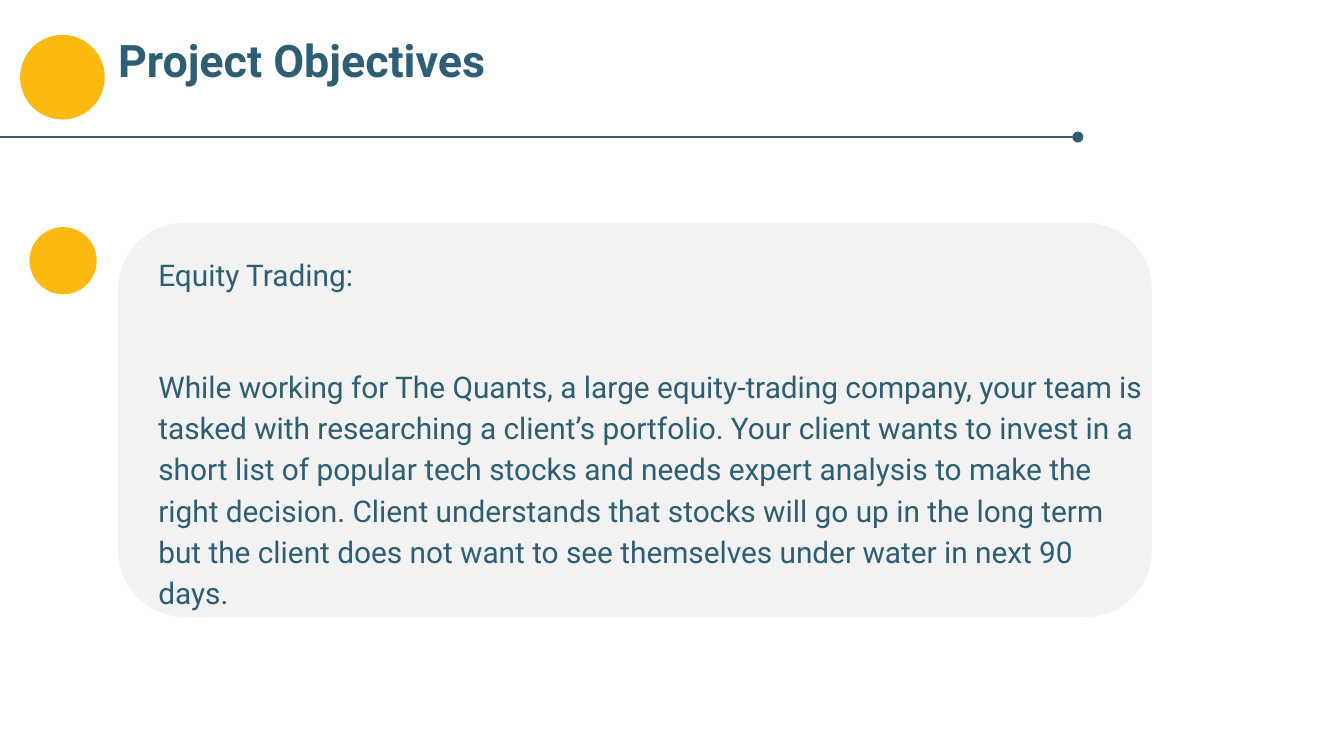
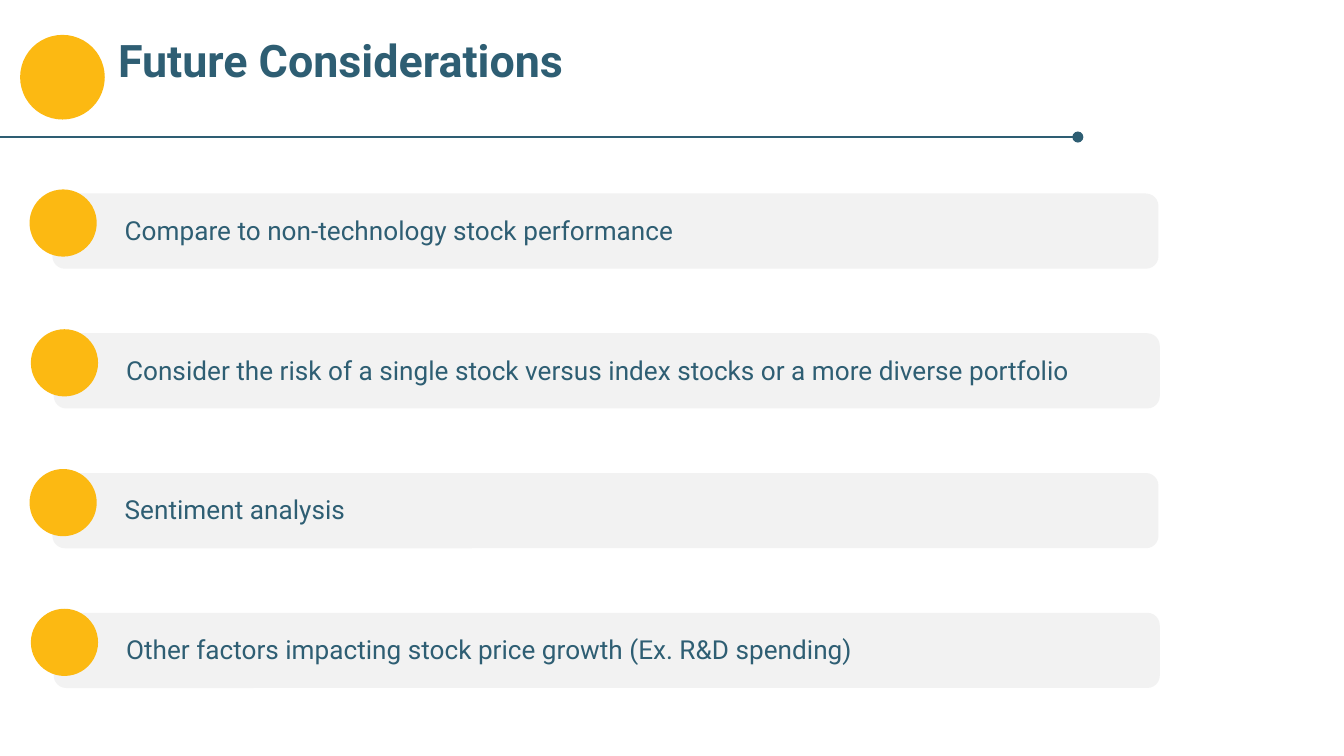
"""Build the project objectives and future considerations slides."""
from lxml import etree
from pptx import Presentation
from pptx.dml.color import RGBColor
from pptx.enum.shapes import MSO_CONNECTOR, MSO_SHAPE
from pptx.enum.text import MSO_ANCHOR, MSO_AUTO_SIZE
from pptx.oxml.ns import qn
from pptx.util import Inches, Pt

STRAIGHT = MSO_CONNECTOR.STRAIGHT
OVAL = MSO_SHAPE.OVAL
ROUNDED = MSO_SHAPE.ROUNDED_RECTANGLE
TOP = MSO_ANCHOR.TOP
FIXED = MSO_AUTO_SIZE.NONE
GROW = MSO_AUTO_SIZE.SHAPE_TO_FIT_TEXT

COLORS = {"ink": "2E5E73", "accent": "FCB912", "panel": "F2F2F2"}
FONT = "Roboto"
SLIDE_WIDTH = 10
INSET = 0.1
BULLET_SIZE = 0.5

OBJECTIVE = [
    "Equity Trading:",
    "While working for The Quants, a large equity-trading company, your team is "
    "tasked with researching a client’s portfolio. Your client wants to invest in a "
    "short list of popular tech stocks and needs expert analysis to make the right "
    "decision. Client understands that stocks will go up in the long term but the "
    "client does not want to see themselves under water in next 90 days.",
]
CONSIDERATIONS = [
    "Compare to non-technology stock performance",
    "Consider the risk of a single stock versus index stocks or a more diverse portfolio",
    "Sentiment analysis",
    "Other factors impacting stock price growth (Ex. R&D spending)",
]


class Deck:
    """Hold the shared style and the slide being drawn."""

    def __init__(self):
        self.prs = Presentation()
        self.prs.slide_width = Inches(SLIDE_WIDTH)
        self.prs.slide_height = Inches(SLIDE_WIDTH * 9 / 16)
        self.slide = None
        self.shapes = None

    def color(self, name):
        return RGBColor.from_string(COLORS[name])

    def start_slide(self, title):
        self.slide = self.prs.slides.add_slide(self.prs.slide_layouts[6])
        self.shapes = self.slide.shapes
        self.circle(0.15, 0.26, 0.63)
        self.text(0.78, 0.14, 8.88, 0.63, [title], 24, bold=True)
        self.rule(-0.01, 8.02, 1.02)

    def start_group(self):
        self.shapes = self.slide.shapes.add_group_shape().shapes

    def shape(self, kind, left, top, width, height, fill):
        shape = self.shapes.add_shape(
            kind, Inches(left), Inches(top), Inches(width), Inches(height))
        shape.shadow.inherit = False
        shape.fill.solid()
        shape.fill.fore_color.rgb = self.color(fill)
        shape.line.fill.background()
        return shape

    def circle(self, left, top, size):
        self.shape(OVAL, left, top, size, size, "accent")

    def panel(self, left, top, width, height):
        self.shape(ROUNDED, left, top, width, height, "panel").adjustments[0] = 0.167

    def rule(self, left, right, y):
        rule = self.shapes.add_connector(
            STRAIGHT, Inches(left), Inches(y), Inches(right), Inches(y))
        rule.line.color.rgb = self.color("ink")
        rule.line.width = Pt(1.5)
        properties = rule._element.spPr
        etree.SubElement(properties.find(qn("a:ln")), qn("a:tailEnd"), type="oval")
        etree.SubElement(properties, qn("a:effectLst"))

    def text(self, left, top, width, height, paragraphs, size, bold=False,
             spacing=1.0, gaps=None, indent=0, fit=FIXED):
        box = self.shapes.add_textbox(
            Inches(left), Inches(top), Inches(width), Inches(height))
        frame = box.text_frame
        frame.word_wrap = True
        frame.auto_size = fit
        frame.vertical_anchor = TOP
        frame.margin_left = frame.margin_right = Inches(INSET)
        frame.margin_top = frame.margin_bottom = Inches(INSET)
        for index, words in enumerate(paragraphs):
            paragraph = frame.add_paragraph() if index else frame.paragraphs[0]
            paragraph.line_spacing = spacing
            if gaps:
                paragraph.space_after = Pt(gaps[index])
            if indent:
                properties = paragraph._p.get_or_add_pPr()
                properties.set("marL", str(Inches(indent)))
                properties.set("indent", "0")
            run = paragraph.add_run()
            run.text = words
            run.font.name = FONT
            run.font.size = Pt(size)
            run.font.bold = bold
            run.font.color.rgb = self.color("ink")

    def consideration(self, left, top, words):
        self.start_group()
        self.panel(left, top, 8.23, 0.56)
        self.text(left + 0.44, top + 0.02, 7.43, 0.47, [words], 14,
                  spacing=1.15, fit=GROW)
        self.circle(left - 0.17, top - 0.03, BULLET_SIZE)


def main():
    deck = Deck()

    deck.start_slide("Project Objectives")
    deck.panel(0.88, 1.66, 7.69, 2.93)
    deck.text(0.83, 1.77, 7.78, 2.71, OBJECTIVE, 16, spacing=1.15,
              gaps=[38, 8], indent=0.25, fit=GROW)
    deck.circle(0.22, 1.69, BULLET_SIZE)

    deck.start_slide("Future Considerations")
    for row, words in enumerate(CONSIDERATIONS):
        deck.consideration(0.39 + 0.01 * (row % 2), 1.44 + 1.04 * row, words)

    deck.prs.save("out.pptx")


if __name__ == "__main__":
    main()
